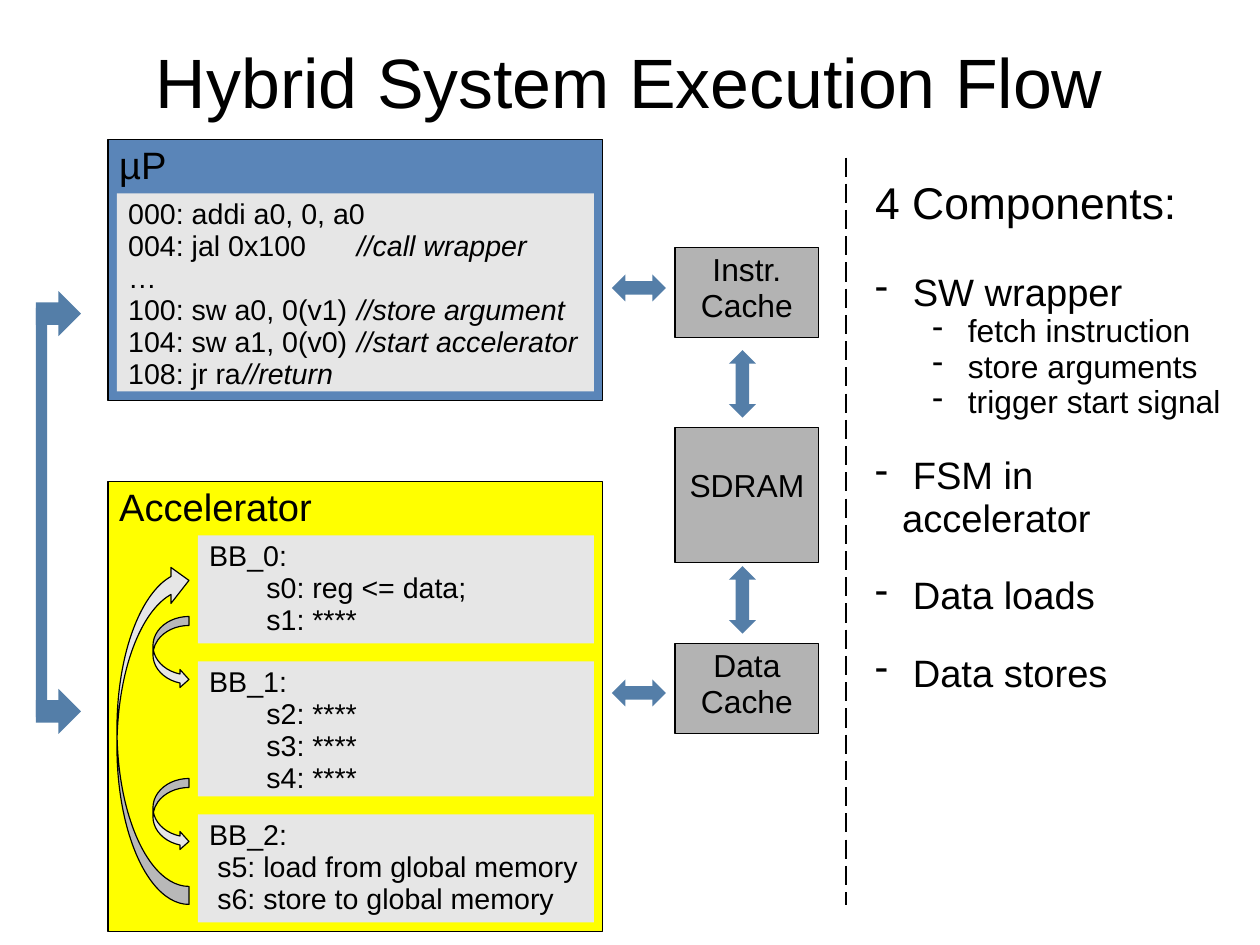
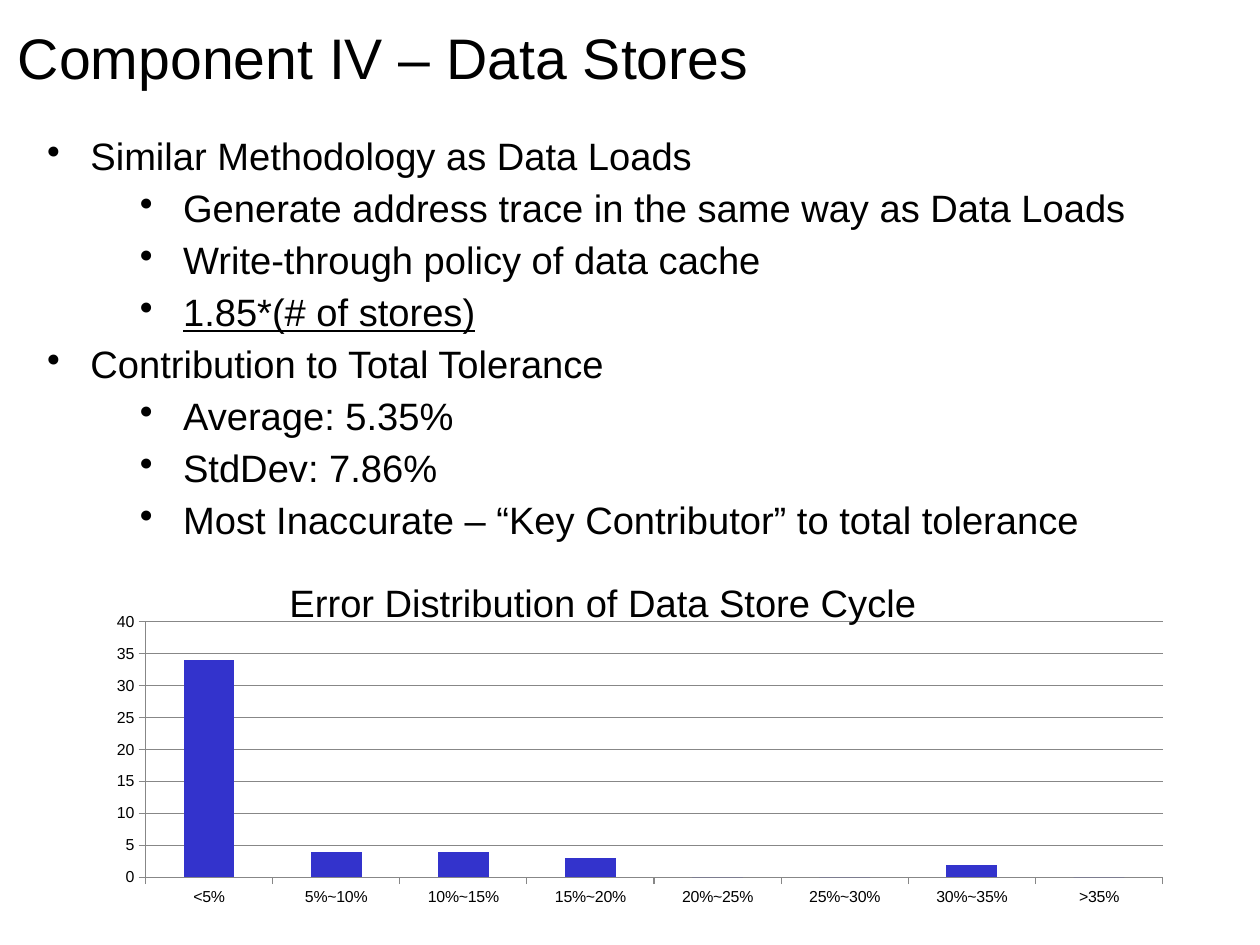
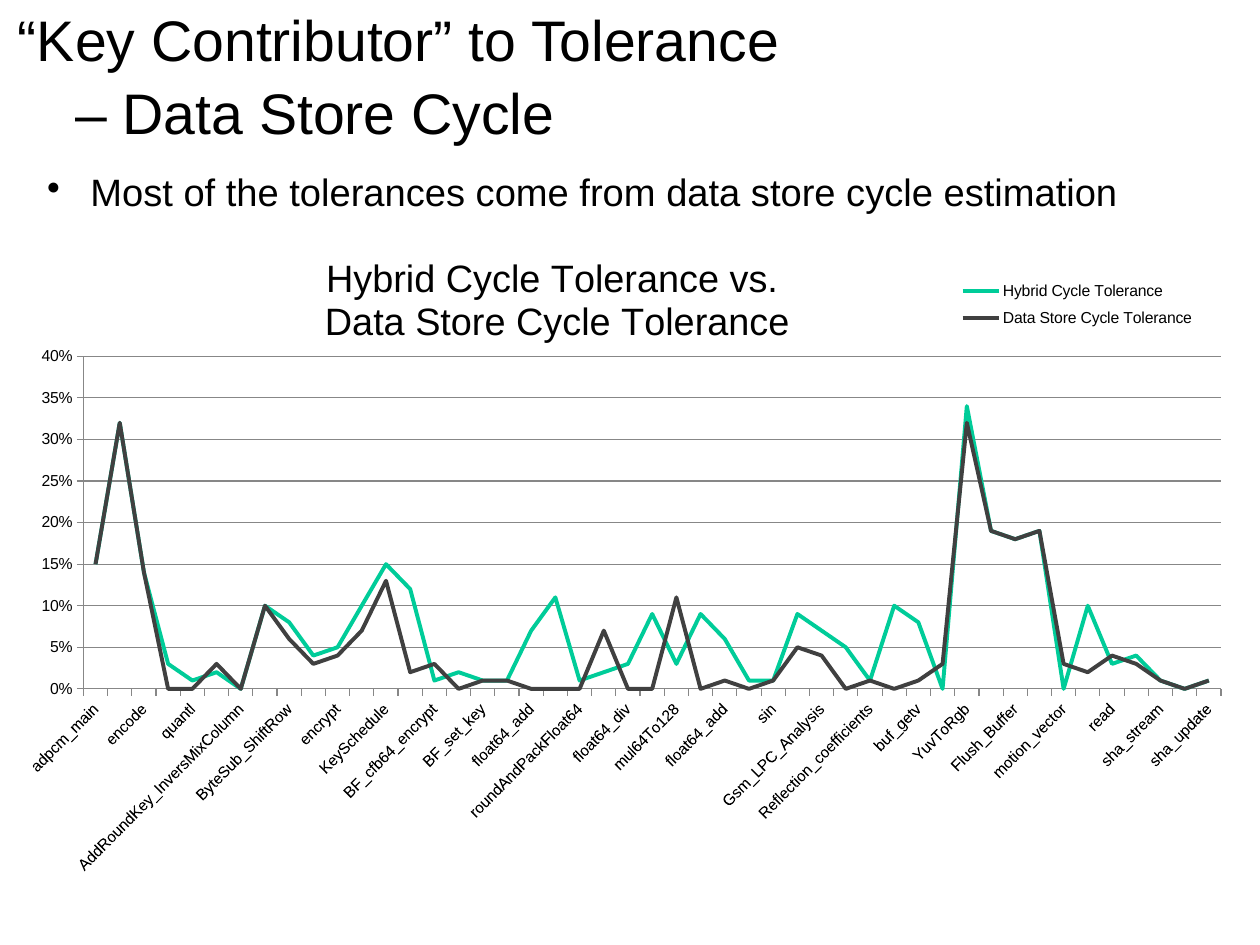
from dataclasses import dataclass

import lxml.etree
import pptx
import pptx.chart.data
import pptx.dml.color
import pptx.enum.chart
import pptx.enum.dml
import pptx.enum.shapes
import pptx.enum.text
import pptx.oxml.ns
import pptx.util

Cm = pptx.util.Cm
Pt = pptx.util.Pt
qn = pptx.oxml.ns.qn
SHAPE = pptx.enum.shapes.MSO_SHAPE
ALIGN = pptx.enum.text.PP_ALIGN
ANCHOR = pptx.enum.text.MSO_ANCHOR
CHART = pptx.enum.chart.XL_CHART_TYPE


@dataclass(frozen=True)
class Theme:
    font: str = "Arial"
    text: str = "000000"
    cpu: str = "5A85B8"
    accel: str = "FFFF00"
    panel: str = "E6E6E6"
    memory: str = "B3B3B3"
    arrow: str = "547EA8"
    bars: str = "3333CC"
    hybrid: str = "00CC99"
    stores: str = "404040"
    grid: str = "878787"
    cover: int = 44
    title: int = 36
    lead: int = 28
    body: int = 24
    small: int = 20
    code: int = 18
    axis: int = 10
    spacing: float = 0.93


T = Theme()


@dataclass
class Par:
    """One paragraph; lengths in cm, spacing in points."""
    text: str
    size: int = T.body
    left: float = 0
    hang: float = 0
    bullet: str = ""
    before: float = 0
    align: ALIGN = ALIGN.LEFT
    underline: bool = False
    comment: str = ""
    tab: float = 0


def rgb(value):
    return pptx.dml.color.RGBColor.from_string(value)


# Text
def write(tf, pars, anchor=ANCHOR.TOP, insets=(0.25, 0.13, 0.25, 0.13)):
    tf.word_wrap = True
    tf.vertical_anchor = anchor
    tf.margin_left, tf.margin_top, tf.margin_right, tf.margin_bottom = map(Cm, insets)
    for i, par in enumerate(pars):
        p = tf.paragraphs[0] if i == 0 else tf.add_paragraph()
        p.text = par.text
        if par.comment:
            p.add_run().text = par.comment
            p.runs[-1].font.italic = True
        p.alignment = par.align
        p.line_spacing = T.spacing
        p.space_before = Pt(par.before)
        for r in p.runs:
            r.font.name, r.font.size = T.font, Pt(par.size)
            r.font.color.rgb = rgb(T.text)
            if par.underline:
                r.font.underline = True
        pPr = p._p.get_or_add_pPr()
        pPr.set("marL", str(Cm(par.left)))
        pPr.set("indent", str(-Cm(par.hang)))
        if par.bullet:
            lxml.etree.SubElement(pPr, qn("a:buChar"), char=par.bullet)
        if par.tab:
            tabs = lxml.etree.SubElement(pPr, qn("a:tabLst"))
            lxml.etree.SubElement(tabs, qn("a:tab"), pos=str(Cm(par.tab)), algn="l")


def add_text(s, box, pars, **frame):
    write(s.shapes.add_textbox(*map(Cm, box)).text_frame, pars, **frame)


def add_title(s, box, pars):
    add_text(s, box, pars, anchor=ANCHOR.MIDDLE, insets=(0, 0.1, 0, 0))


def bullet(text, level=0, **kw):
    return Par(text, left=(0.96, 3.02)[level], hang=0.96, bullet="•", before=6, **kw)


# Shapes
def add_shape(s, kind, box, fill, outline=False, pars=(), **frame):
    sp = s.shapes.add_shape(kind, *map(Cm, box))
    sp.shadow.inherit = False
    sp.fill.solid()
    sp.fill.fore_color.rgb = rgb(fill)
    if outline:
        sp.line.color.rgb = rgb(T.text)
        sp.line.width = Pt(0.75)
    else:
        sp.line.fill.background()
    if pars:
        write(sp.text_frame, pars, **frame)
    return sp


# Execution flow regions
def add_processor(s, x, y):
    add_shape(s, SHAPE.RECTANGLE, (x, y, 11, 5.8), T.cpu, True, [Par("µP")])
    lines = [("000: addi a0, 0, a0", "", 0),
             ("004: jal 0x100\t", "//call wrapper", 5.2),
             ("…", "", 0),
             ("100: sw a0, 0(v1)\t", "//store argument", 5.07),
             ("104: sw a1, 0(v0)\t", "//start accelerator", 5.07),
             ("108: jr ra\t", "//return", 4.98)]
    add_shape(s, SHAPE.RECTANGLE, (x + 0.2, y + 1.2, 10.6, 4.4), T.panel,
              pars=[Par(code, T.code, comment=comment, tab=tab)
                    for code, comment, tab in lines])


def add_accelerator(s, x, y):
    add_shape(s, SHAPE.RECTANGLE, (x, y, 11, 10), T.accel, True, [Par("Accelerator")])
    # Basic blocks, stacked with an equal gap
    blocks = [("BB_0:", 1.27, ["s0: reg <= data;", "s1: ****"], 2.4),
              ("BB_1:", 1.27, ["s2: ****", "s3: ****", "s4: ****"], 3),
              ("BB_2:", 0.18, ["s5: load from global memory",
                               "s6: store to global memory"], 2.4)]
    top = y + 1.2
    for name, left, states, height in blocks:
        add_shape(s, SHAPE.RECTANGLE, (x + 2, top, 8.8, height), T.panel,
                  pars=[Par(name, T.code)] + [Par(t, T.code, left) for t in states])
        top += height + 0.4
    # Steps between blocks, and the loop back to the first
    for dy in (3, 6.6):
        add_shape(s, SHAPE.CURVED_RIGHT_ARROW, (x + 1, y + dy, 0.8, 1.6), T.panel, True)
    loop = add_shape(s, SHAPE.CURVED_RIGHT_ARROW, (x + 0.2, y + 1.8, 1.6, 7.6),
                     T.panel, True)
    loop._element.spPr.find(qn("a:xfrm")).set("flipV", "1")


def add_memory(s, x, y):
    for label, dy, height, inset in [("Instr. Cache", 0, 2, 0.13),
                                     ("SDRAM", 4, 3, 0.92),
                                     ("Data Cache", 8.8, 2, 0.13)]:
        add_shape(s, SHAPE.RECTANGLE, (x, y + dy, 3.2, height), T.memory, True,
                  [Par(label, T.small, align=ALIGN.CENTER)],
                  insets=(0.25, inset, 0.25, 0.13))
    for dy in (0.6, 9.6):
        add_shape(s, SHAPE.LEFT_RIGHT_ARROW, (x - 1.4, y + dy, 1.2, 0.6), T.arrow)
    for dy in (2.28, 7.08):
        add_shape(s, SHAPE.UP_DOWN_ARROW, (x + 1.2, y + dy, 0.6, 1.5), T.arrow)


def add_bracket(s, x, y):
    add_shape(s, SHAPE.RECTANGLE, (x, y + 0.37, 0.25, 9.1), T.arrow)
    for dy in (0, 8.84):
        add_shape(s, SHAPE.RIGHT_ARROW, (x, y + dy, 1, 1), T.arrow)


def add_divider(s, x, top, bottom):
    line = s.shapes.add_connector(pptx.enum.shapes.MSO_CONNECTOR.STRAIGHT,
                                  Cm(x), Cm(top), Cm(x), Cm(bottom))
    line.line.color.rgb = rgb(T.text)
    line.line.width = Pt(1.5)
    line.line.dash_style = pptx.enum.dml.MSO_LINE.LONG_DASH
    lxml.etree.SubElement(line._element.spPr, qn("a:effectLst"))


def add_components(s, box):
    def part(text, before):
        return Par(" " + text, left=0.6, hang=0.6, bullet="-", before=before)

    steps = ["fetch instruction", "store arguments", "trigger start signal"]
    add_text(s, box, [Par("4 Components:", T.lead), part("SW wrapper", 27)]
             + [Par(t, T.small, 2.06, 0.79, "-") for t in steps]
             + [part(t, 22) for t in ("FSM in accelerator", "Data loads", "Data stores")])


# Charts
def set_layout(element, index, x, y, w=None, h=None, inner=False):
    for old in element.findall(qn("c:layout")):
        element.remove(old)
    layout = lxml.etree.Element(qn("c:layout"))
    manual = lxml.etree.SubElement(layout, qn("c:manualLayout"))
    values = [("layoutTarget", "inner" if inner else None),
              ("xMode", "edge"), ("yMode", "edge"),
              ("x", x), ("y", y), ("w", w), ("h", h)]
    for name, value in values:
        if value is not None:
            lxml.etree.SubElement(manual, qn("c:" + name), val=str(value))
    element.insert(index, layout)


def add_chart(s, kind, box, title, title_at, plot, cats, series, top, step, fmt):
    data = pptx.chart.data.CategoryChartData(number_format=fmt)
    data.categories = cats
    for name, values, _ in series:
        data.add_series(name, values)
    chart = s.shapes.add_chart(kind, *map(Cm, box), data).chart
    chart.font.name, chart.font.size = T.font, Pt(T.axis)
    chart.font.color.rgb = rgb(T.text)
    chart.has_legend = False
    # Title
    tf = chart.chart_title.text_frame
    tf.text = title
    for p in tf.paragraphs:
        p.alignment = ALIGN.LEFT
        for r in p.runs:
            r.font.name, r.font.size, r.font.bold = T.font, Pt(T.body), False
            r.font.color.rgb = rgb(T.text)
    set_layout(chart.chart_title._element, 1, *title_at)
    set_layout(chart._chartSpace.chart.plotArea, 0, *plot, inner=True)
    # Axes
    value = chart.value_axis
    value.minimum_scale, value.maximum_scale, value.major_unit = 0, top, step
    value.has_major_gridlines = True
    value.tick_labels.number_format = fmt
    value.tick_labels.number_format_is_linked = False
    for axis in (value, chart.category_axis):
        axis.major_tick_mark = pptx.enum.chart.XL_TICK_MARK.OUTSIDE
        axis.tick_labels.font.size = Pt(T.axis)
    for part in (value, chart.category_axis, value.major_gridlines):
        part.format.line.color.rgb = rgb(T.grid)
        part.format.line.width = Pt(0.75)
    # Series
    chart.plots[0].vary_by_categories = False
    for ser, (_, _, colour) in zip(chart.plots[0].series, series):
        if kind == CHART.LINE:
            ser.smooth = False
            ser.format.line.color.rgb = rgb(colour)
            ser.format.line.width = Pt(2.5)
        else:
            ser.format.fill.solid()
            ser.format.fill.fore_color.rgb = rgb(colour)
    return chart


# Slides
def flow_slide(s):
    add_title(s, (1.4, 0.1, 25.2, 3.5),
              [Par("Hybrid System Execution Flow", T.cover, align=ALIGN.CENTER)])
    add_components(s, (19.2, 3.86, 8.2, 11.7))
    add_accelerator(s, 2.4, 10.7)
    add_processor(s, 2.4, 3.1)
    add_memory(s, 15, 5.5)
    add_bracket(s, 0.8, 6.47)
    add_divider(s, 18.8, 3.5, 20.1)


def stores_slide(s):
    add_title(s, (0.4, 0.1, 24, 2.4), [Par("Component IV – Data Stores", T.title)])
    add_text(s, (0.8, 2.9, 25.8, 9.4), [
        bullet("Similar Methodology as Data Loads"),
        bullet("Generate address trace in the same way as Data Loads", 1),
        bullet("Write-through policy of data cache", 1),
        bullet("1.85*(# of stores)", 1, underline=True),
        bullet("Contribution to Total Tolerance"),
        bullet("Average: 5.35%", 1),
        bullet("StdDev: 7.86%", 1),
        bullet("Most Inaccurate – “Key Contributor” to total tolerance", 1)])
    cats = ["<5%"] + [f"{n}%~{n + 5}%" for n in range(5, 35, 5)] + [">35%"]
    chart = add_chart(s, CHART.COLUMN_CLUSTERED, (1.2, 12.3, 25.4, 8),
                      "Error Distribution of Data Store Cycle", (0.2, 0.05),
                      (0.08, 0.19, 0.89, 0.71), cats,
                      [("Series 1", [34, 4, 4, 3, 0, 0, 2, 0], T.bars)], 40, 5, "General")
    chart.plots[0].gap_width = 150


FUNCTIONS = """adpcm_main decode encode filtez quantl upzero AddRoundKey_InversMixColumn
aes_main ByteSub_ShiftRow decrypt encrypt InversShiftRow_ByteSub KeySchedule
MixColumn_AddRoundKey BF_cfb64_encrypt BF_encrypt BF_set_key blowfish_main float64_add
propagateFloat64NaN roundAndPackFloat64 shift64RightJamming float64_div float64_mul
mul64To128 propagateFloat64NaN float64_add float64_div sin Autocorrelation
Gsm_LPC_Analysis gsm_mult_r Reflection_coefficients buf_getb buf_getv ChenIDct YuvToRgb
Fill_Buffer Flush_Buffer Initialize_Buffer motion_vector motion_vectors read memcpy
sha_stream sha_transform sha_update""".split()
HYBRID = [15, 32, 14, 3, 1, 2, 0, 10, 8, 4, 5, 10, 15, 12, 1, 2, 1, 1, 7, 11, 1, 2, 3, 9,
          3, 9, 6, 1, 1, 9, 7, 5, 1, 10, 8, 0, 34, 19, 18, 19, 0, 10, 3, 4, 1, 0, 1]
STORES = [15, 32, 14, 0, 0, 3, 0, 10, 6, 3, 4, 7, 13, 2, 3, 0, 1, 1, 0, 0, 0, 7, 0, 0,
          11, 0, 1, 0, 1, 5, 4, 0, 1, 0, 1, 3, 32, 19, 18, 19, 3, 2, 4, 3, 1, 0, 1]


def tolerance_slide(s):
    add_title(s, (0.4, 0.5, 24, 2.4),
              [Par("“Key Contributor” to Tolerance", T.title, before=6),
               Par("– Data Store Cycle", T.title, 1.27, before=6)])
    add_text(s, (0.8, 3.7, 25.8, 1.2),
             [bullet("Most of the tolerances come from data store cycle estimation")])
    series = [(name, [v / 100 for v in percents], colour) for name, percents, colour in [
        ("Hybrid Cycle Tolerance", HYBRID, T.hybrid),
        ("Data Store Cycle Tolerance", STORES, T.stores)]]
    chart = add_chart(s, CHART.LINE, (0.6, 5.3, 26.8, 15.4),
                      "Hybrid Cycle Tolerance vs.\n Data Store Cycle Tolerance",
                      (0.23, 0.02), (0.04, 0.17, 0.95, 0.48), FUNCTIONS, series,
                      0.4, 0.05, "0%")
    # Slanted function names and a legend beside the title
    labels = chart.category_axis._element.find(qn("c:txPr"))
    labels.find(qn("a:bodyPr")).set("rot", "-2700000")
    chart.has_legend = True
    chart.legend.position = pptx.enum.chart.XL_LEGEND_POSITION.RIGHT
    chart.legend.include_in_layout = False
    set_layout(chart.legend._element, 1, 0.76, 0.05, 0.22, 0.09)


def main():
    prs = pptx.Presentation()
    prs.slide_width, prs.slide_height = Cm(28), Cm(21)
    for build in (flow_slide, stores_slide, tolerance_slide):
        build(prs.slides.add_slide(prs.slide_layouts[6]))
    prs.save("out.pptx")


if __name__ == "__main__":
    main()
